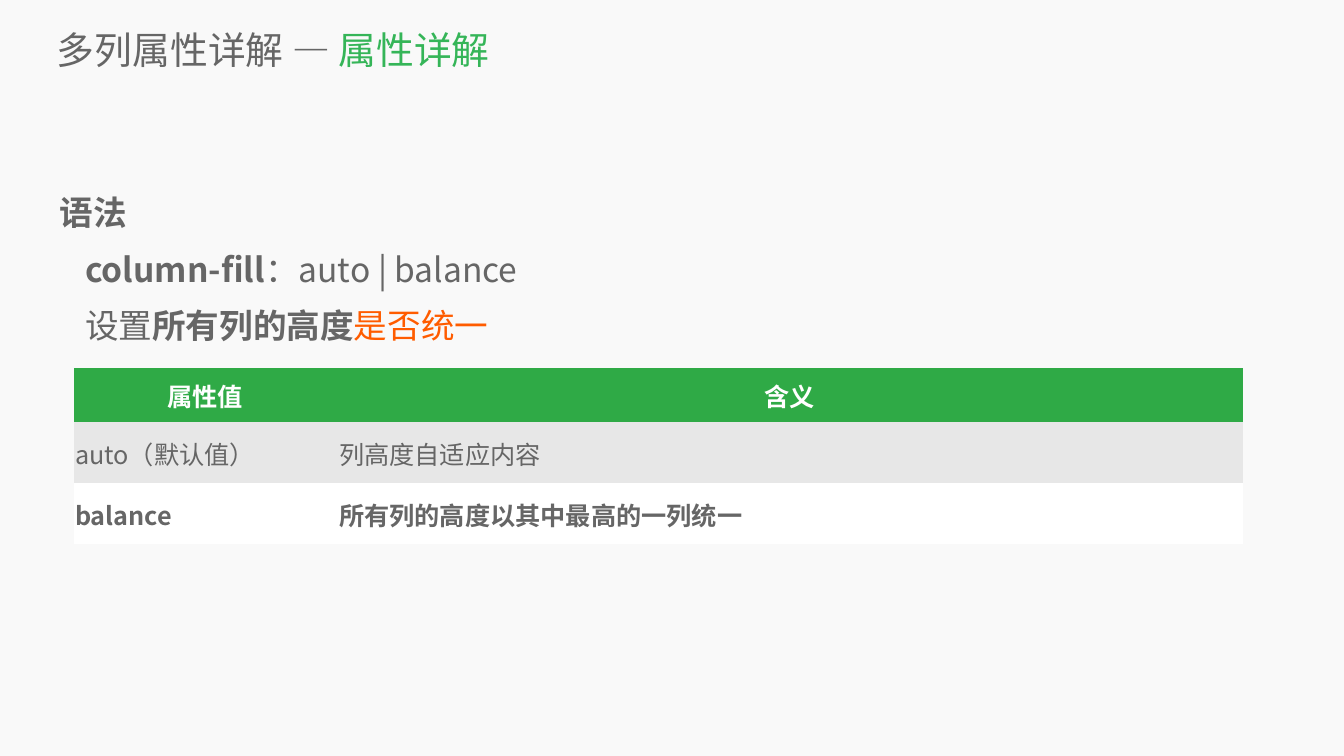
from lxml.etree import SubElement
from pptx import Presentation
from pptx.dml.color import RGBColor
from pptx.enum.text import MSO_ANCHOR, MSO_AUTO_SIZE, PP_ALIGN
from pptx.oxml.ns import qn
from pptx.util import Inches, Pt

FONT = "Noto Sans CJK SC"
PAPER = RGBColor(0xF9, 0xF9, 0xF9)
GREY = RGBColor(0x66, 0x66, 0x66)
LIGHT_GREEN = RGBColor(0x35, 0xB5, 0x58)
GREEN = RGBColor(0x2F, 0xAA, 0x46)
ORANGE = RGBColor(0xFF, 0x5C, 0x00)
BAND = RGBColor(0xE7, 0xE7, 0xE7)
WHITE = RGBColor(0xFF, 0xFF, 0xFF)
INDENT = 0.9

HEADER = ("属性值", "含义")
VALUES = (("auto（默认值）", "列高度自适应内容"),
          ("balance", "所有列的高度以其中最高的一列统一"))


def write_paragraph(paragraph, runs, size, color=GREY, bold=None, align=PP_ALIGN.LEFT):
    """Fill a paragraph with (text, bold, colour) runs; None keeps the paragraph's own."""
    paragraph.alignment = align
    paragraph.space_before = Pt(0)
    font = paragraph.font
    font.name, font.size, font.bold = FONT, Pt(size), bold
    font.color.rgb = color
    for text, run_bold, run_color in runs:
        run = paragraph.add_run()
        run.text = text
        if run_bold is not None:
            run.font.bold = run_bold
        if run_color is not None:
            run.font.color.rgb = run_color
    # East Asian typeface beside the Latin one
    for latin in list(paragraph._p.iter(qn("a:latin"))):
        east_asian = latin.makeelement(qn("a:ea"), {"typeface": FONT})
        latin.addnext(east_asian)


def set_margins(area, left, top, right, bottom):
    area.margin_left, area.margin_top = Inches(left), Inches(top)
    area.margin_right, area.margin_bottom = Inches(right), Inches(bottom)


def place(placeholder, left, top, width, height, anchor):
    placeholder.left, placeholder.top = Inches(left), Inches(top)
    placeholder.width, placeholder.height = Inches(width), Inches(height)
    frame = placeholder.text_frame
    frame.auto_size = MSO_AUTO_SIZE.NONE
    frame.word_wrap = True
    frame.vertical_anchor = anchor
    set_margins(frame, 0, 0, 0, 0)
    return frame


def add_title(slide):
    frame = place(slide.shapes.title, 1.13, 0.47, 25.16, 1.02, MSO_ANCHOR.MIDDLE)
    runs = [("多列属性详解 — ", None, None), ("属性详解", None, LIGHT_GREEN)]
    write_paragraph(frame.paragraphs[0], runs, 54, bold=False)


def add_syntax(slide):
    frame = place(slide.placeholders[1], 1.19, 3.49, 24.28, 11.24, MSO_ANCHOR.TOP)
    lines = [
        [("语法", True, None)],
        [("\tcolumn-fill", True, None), ("：auto | balance", False, None)],
        [("\t设置", False, None), ("所有列的高度", True, None),
         ("是否统一", False, ORANGE)],
    ]
    for index, runs in enumerate(lines):
        paragraph = frame.add_paragraph() if index else frame.paragraphs[0]
        paragraph.line_spacing = 1.4
        if index:
            tabs = SubElement(paragraph._p.get_or_add_pPr(), qn("a:tabLst"))
            SubElement(tabs, qn("a:tab"), pos=str(Inches(INDENT)), algn="l")
        write_paragraph(paragraph, runs, 48)


def add_values_table(slide):
    rows = (HEADER, *VALUES)
    table = slide.shapes.add_table(len(rows), len(HEADER), Inches(1.46), Inches(7.31),
                                   Inches(23.2), Inches(3.48)).table
    for column, width in zip(table.columns, (5.24, 17.96)):
        column.width = Inches(width)
    # Fill, text colour, bold and height of each row
    styles = ((GREEN, WHITE, True, 1.06), (BAND, GREY, False, 1.21),
              (WHITE, GREY, True, 1.21))
    for r, (texts, (fill, color, bold, height)) in enumerate(zip(rows, styles)):
        table.rows[r].height = Inches(height)
        for c, text in enumerate(texts):
            cell = table.cell(r, c)
            cell.fill.solid()
            cell.fill.fore_color.rgb = fill
            cell.vertical_anchor = MSO_ANCHOR.MIDDLE
            if r == 0:
                set_margins(cell, 0.03, 0.1, 0.05, 0.1)
            else:
                set_margins(cell, 0.03, 0.08, 0.05 if c else 0.1, 0.05)
            write_paragraph(cell.text_frame.paragraphs[0], [(text, bold, color)], 36,
                            color, bold, PP_ALIGN.LEFT if r else PP_ALIGN.CENTER)
    # Plain rows without the borders of the default style
    table.horz_banding = False
    table.first_row = False
    style_id = table._tbl.tblPr.find(qn("a:tableStyleId"))
    style_id.text = "{2D5ABB26-0587-4C30-8999-92F81FD0307C}"


def main():
    presentation = Presentation()
    presentation.slide_width, presentation.slide_height = Inches(26.67), Inches(15)
    slide = presentation.slides.add_slide(presentation.slide_layouts[0])
    slide.background.fill.solid()
    slide.background.fill.fore_color.rgb = PAPER
    add_title(slide)
    add_syntax(slide)
    add_values_table(slide)
    presentation.save("out.pptx")


if __name__ == "__main__":
    main()
